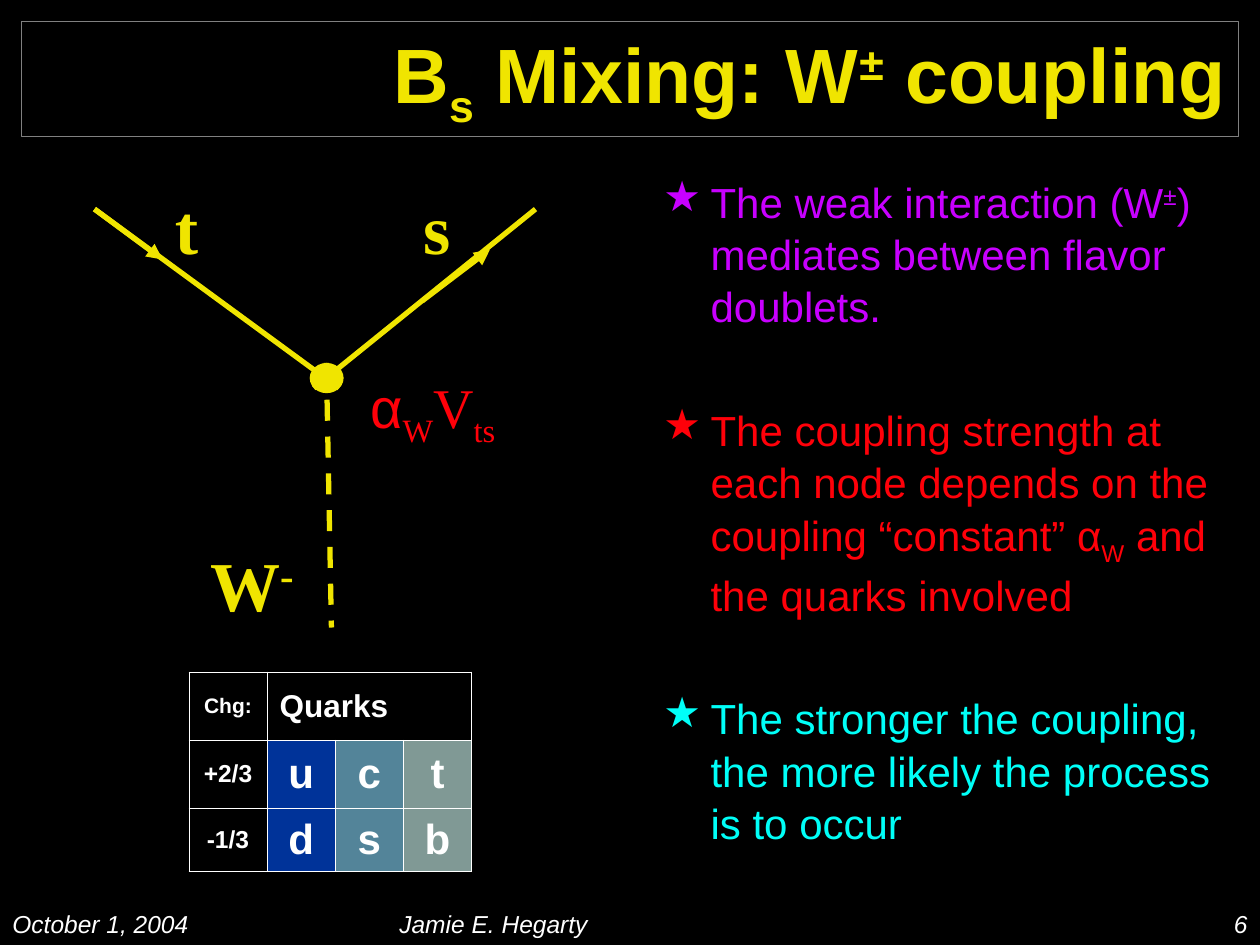
from lxml.etree import SubElement
from pptx import Presentation
from pptx.dml.color import RGBColor
from pptx.enum.dml import MSO_LINE
from pptx.enum.shapes import MSO_CONNECTOR, MSO_SHAPE
from pptx.enum.text import MSO_ANCHOR, MSO_AUTO_SIZE, PP_ALIGN
from pptx.oxml import parse_xml
from pptx.oxml.ns import nsdecls, qn
from pptx.util import Pt

YELLOW, RED, WHITE = "F0E500", "FF0009", "FFFFFF"
SUB, SUP = -25, 30
SERIF = "Times New Roman"

# Rich text: plain strings or (text, baseline shift in %[, font])
TITLE = ["B", ("s", SUB), " Mixing: W", ("±", SUP), " coupling"]
BULLETS = [
    ("C800FF", ["The weak interaction (W", ("±", SUP),
                ") mediates between flavor doublets."]),
    (RED, ["The coupling strength at each node depends on the coupling “constant” α",
           ("W", SUB), " and the quarks involved"]),
    ("00FFF8", ["The stronger the coupling, the more likely the process is to occur"]),
]
# start, end, dashed, arrowhead
LINES = [
    ((54, 119.5), (193.7, 221.8), False, False),
    ((306, 119.5), (179.3, 221.8), False, False),
    ((186.5, 207.4), (189.4, 358.6), True, False),
    ((54, 119.5), (92.9, 148.3), False, True),
    ((241.2, 172), (280, 142.6), False, True),
]
# box, rich text, size, colour, bold
LABELS = [
    ((113, 306, 62, 55.4), ["W", ("-", SUP)], 40, YELLOW, True),
    ((92.9, 102.2, 27.4, 55.4), ["t"], 40, YELLOW, True),
    ((234.7, 102.2, 29.5, 55.4), ["s"], 40, YELLOW, True),
    ((204.5, 209.5, 87, 51), [("α", 0, "Arial"), ("W", SUB), "V", ("ts", SUB)],
     32, RED, False),
]
QUARKS = [["Chg:", "Quarks", "", ""], ["+2/3", "u", "c", "t"], ["-1/3", "d", "s", "b"]]
FAMILY_FILLS = [None, "003399", "538499", "809995"]
COLS, ROWS = [44.6, 39, 39, 39], [39, 39, 36]
# left, width, text, alignment
FOOTERS = [
    (168, 228, "Jamie E. Hegarty", PP_ALIGN.CENTER),
    (426, 294, "6", PP_ALIGN.RIGHT),
    (0, 138, "October 1, 2004", PP_ALIGN.LEFT),
]


def rgb(color):
    return RGBColor.from_string(color)


def pts(*values):
    return [Pt(v) for v in values]


def style(r, size, color, name="Arial", bold=False, italic=False):
    f = r.font
    f.size, f.name, f.bold, f.italic = Pt(size), name, bold, italic
    f.color.rgb = rgb(color)


def write(p, parts, size, color, name="Arial", bold=False):
    """Add rich text to a paragraph, one run for each part."""
    for part in parts:
        text, shift, font = ((part, 0) if isinstance(part, str) else part) + (name,) \
            if isinstance(part, str) or len(part) == 2 else part
        r = p.add_run()
        r.text = text
        style(r, size, color, font, bold)
        if shift:
            r.font._element.set("baseline", str(shift * 1000))


def add_title(s):
    sp = s.shapes.title
    sp.left, sp.top, sp.width, sp.height = pts(12, 12, 696, 66)
    sp.line.color.rgb = rgb("808080")
    sp.line.width = Pt(0.5)
    tf = sp.text_frame
    tf.auto_size = MSO_AUTO_SIZE.NONE
    tf.vertical_anchor = MSO_ANCHOR.MIDDLE
    p = tf.paragraphs[0]
    p.alignment = PP_ALIGN.RIGHT
    write(p, TITLE, 44, YELLOW, bold=True)


def add_bullets(s):
    tf = s.shapes.add_textbox(*pts(372, 96, 333, 408)).text_frame
    tf.word_wrap = True
    for i, (color, parts) in enumerate(BULLETS):
        p = tf.add_paragraph() if i else tf.paragraphs[0]
        p.line_spacing = 1.04
        p.space_before = Pt(40.7 if i else 6)
        write(p, parts, 24, color)
        pPr = p._p.get_or_add_pPr()
        pPr.set("marL", str(Pt(27)))
        pPr.set("indent", str(-Pt(27)))
        SubElement(SubElement(pPr, qn("a:buClr")), qn("a:srgbClr")).set("val", color)
        SubElement(pPr, qn("a:buChar")).set("char", "★")


def add_diagram(s):
    shapes = s.shapes.add_group_shape().shapes
    node = shapes.add_shape(MSO_SHAPE.OVAL, *pts(177, 207.4, 19.4, 17.3))
    node.shadow.inherit = False
    node.fill.solid()
    node.fill.fore_color.rgb = rgb(YELLOW)
    node.line.fill.background()
    for start, end, dashed, arrow in LINES:
        c = shapes.add_connector(MSO_CONNECTOR.STRAIGHT, *pts(*start, *end))
        c.line.color.rgb = rgb(YELLOW)
        c.line.width = Pt(3)
        if dashed:
            c.line.dash_style = MSO_LINE.DASH
        if arrow:
            SubElement(c.line._get_or_add_ln(), qn("a:tailEnd")).set("type", "triangle")
        SubElement(c._element.spPr, qn("a:effectLst"))
    for box, parts, size, color, bold in LABELS:
        tf = shapes.add_textbox(*pts(*box)).text_frame
        tf.word_wrap = False
        tf.auto_size = MSO_AUTO_SIZE.SHAPE_TO_FIT_TEXT
        write(tf.paragraphs[0], parts, size, color, SERIF, bold)


def add_borders(cell):
    tcPr = cell._tc.get_or_add_tcPr()
    for i, side in enumerate("LRTB"):
        tcPr.insert(i, parse_xml(
            f'<a:ln{side} {nsdecls("a")} w="{Pt(0.45)}"><a:solidFill>'
            f'<a:srgbClr val="{WHITE}"/></a:solidFill></a:ln{side}>'))


def add_quark_table(s):
    table = s.shapes.add_table(
        len(ROWS), len(COLS), *pts(108, 384, sum(COLS), sum(ROWS))).table
    table.first_row = table.horz_banding = False
    for col, width in zip(table.columns, COLS):
        col.width = Pt(width)
    for row, height in zip(table.rows, ROWS):
        row.height = Pt(height)
    table.cell(0, 1).merge(table.cell(0, 3))
    for i, texts in enumerate(QUARKS):
        for j, text in enumerate(texts):
            cell = table.cell(i, j)
            cell.margin_left = cell.margin_right = Pt(7.2)
            cell.margin_top = cell.margin_bottom = Pt(3.6)
            cell.vertical_anchor = MSO_ANCHOR.MIDDLE
            if i and FAMILY_FILLS[j]:
                cell.fill.solid()
                cell.fill.fore_color.rgb = rgb(FAMILY_FILLS[j])
            else:
                cell.fill.background()
            add_borders(cell)
            if not text:
                continue
            size = (14 if i else 12) if j == 0 else (24 if i else 18)
            p = cell.text_frame.paragraphs[0]
            p.text = text
            p.alignment = PP_ALIGN.LEFT if text == "Quarks" else PP_ALIGN.CENTER
            p.space_before = Pt(size / 4)
            style(p.runs[0], size, WHITE, bold=True)


def add_footers(s):
    for left, width, text, align in FOOTERS:
        tf = s.shapes.add_textbox(*pts(left, 516, width, 24)).text_frame
        tf.word_wrap = True
        tf.text = text
        p = tf.paragraphs[0]
        p.alignment = align
        style(p.runs[0], 14, WHITE, italic=True)


def main():
    prs = Presentation()
    prs.slide_width, prs.slide_height = pts(720, 540)
    s = prs.slides.add_slide(prs.slide_layouts[5])
    s.background.fill.solid()
    s.background.fill.fore_color.rgb = rgb("000000")
    add_title(s)
    add_bullets(s)
    add_diagram(s)
    add_quark_table(s)
    add_footers(s)
    prs.save("out.pptx")


if __name__ == "__main__":
    main()
